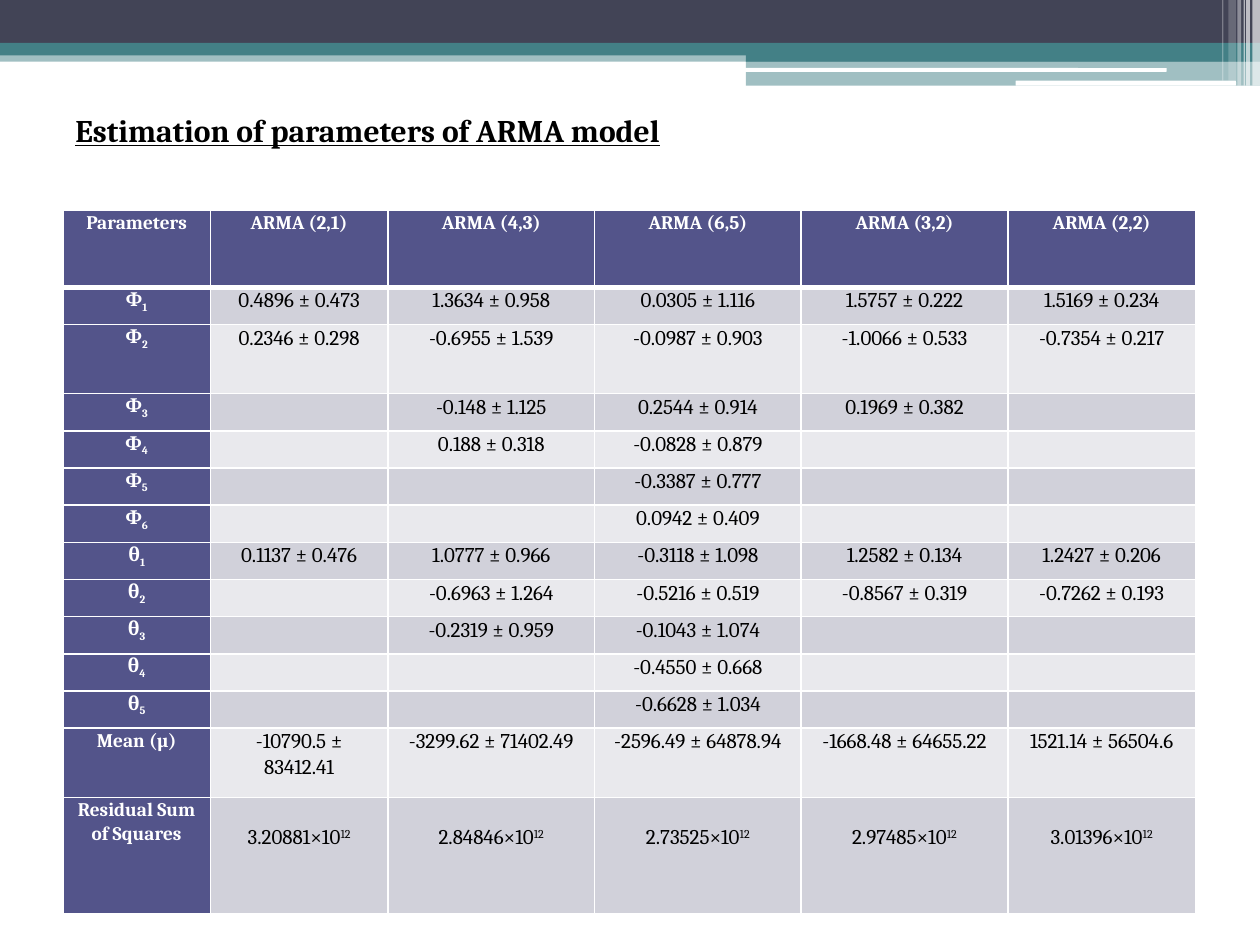
import lxml.etree
import pptx
import pptx.dml.color
import pptx.enum.shapes
import pptx.enum.text
import pptx.oxml.ns
import pptx.util

Inches = pptx.util.Inches
Pt = pptx.util.Pt
qn = pptx.oxml.ns.qn

# Content
TITLE = "Estimation of parameters of ARMA model"
HEADER = ["Parameters", "ARMA (2,1)", "ARMA (4,3)", "ARMA (6,5)", "ARMA (3,2)", "ARMA (2,2)"]
# A label or value given as a tuple is (text, raised or lowered text)
ESTIMATES = [
    [("Φ", "1"), "0.4896 ± 0.473", "1.3634 ± 0.958", "0.0305 ± 1.116", "1.5757 ± 0.222", "1.5169 ± 0.234"],
    [("Φ", "2"), "0.2346 ± 0.298", "-0.6955 ± 1.539", "-0.0987 ± 0.903", "-1.0066 ± 0.533", "-0.7354 ± 0.217"],
    [("Φ", "3"), "", "-0.148 ± 1.125", "0.2544 ± 0.914", "0.1969 ± 0.382", ""],
    [("Φ", "4"), "", "0.188 ± 0.318", "-0.0828 ± 0.879", "", ""],
    [("Φ", "5"), "", "", "-0.3387 ± 0.777", "", ""],
    [("Φ", "6"), "", "", "0.0942 ± 0.409", "", ""],
    [("θ", "1"), "0.1137 ± 0.476", "1.0777 ± 0.966", "-0.3118 ± 1.098", "1.2582 ± 0.134", "1.2427 ± 0.206"],
    [("θ", "2"), "", "-0.6963 ± 1.264", "-0.5216 ± 0.519", "-0.8567 ± 0.319", "-0.7262 ± 0.193"],
    [("θ", "3"), "", "-0.2319 ± 0.959", "-0.1043 ± 1.074", "", ""],
    [("θ", "4"), "", "", "-0.4550 ± 0.668", "", ""],
    [("θ", "5"), "", "", "-0.6628 ± 1.034", "", ""],
    ["Mean (µ)", "-10790.5 ± 83412.41", "-3299.62 ± 71402.49", "-2596.49 ± 64878.94",
     "-1668.48 ± 64655.22", "1521.14 ± 56504.6"],
]
RESIDUALS = ["3.20881", "2.84846", "2.73525", "2.97485", "3.01396"]
ROWS = [HEADER, *ESTIMATES,
        ["Residual Sum of Squares"] + [(f"{value}×10", "12") for value in RESIDUALS]]

COLORS = {"navy": "424456", "teal": "438086", "white": "FFFFFF", "black": "000000",
          "heading": "53548A", "dark band": "D1D1DA", "light band": "E9E9ED"}

# Banner parts: left, top, width, height, colour, opacity in percent
BANNER = [
    (0, 0.4, 10, 0.09, "teal", 50),
    (0, 0, 10, 0.34, "navy", 100),
    (0, 0.34, 10, 0.1, "teal", 100),
    (5.92, 0.39, 4.08, 0.1, "teal", 100),
    (5.92, 0.48, 4.08, 0.2, "teal", 50),
]
BANNER_BARS = [
    (5.91, 0.54, 3.35, 0.03, "white", 100),
    (8.06, 0.64, 1.75, 0.04, "white", 100),
]
BANNER_STRIPES = [
    (left, 0, width, height, "white", opacity)
    for left, width, height, opacity in [
        (9.94, 0.06, 0.68, 65), (9.89, 0.03, 0.68, 65), (9.87, 0.01, 0.68, 60),
        (9.82, 0.03, 0.68, 40), (9.75, 0.06, 0.64, 20), (9.7, 0.01, 0.64, 30)]
]

# Table measures: the short rows share what the tall rows leave
TABLE_HEIGHT = 5.58
COLUMN_WIDTHS = [1.17, 1.41, 1.64, 1.64, 1.64, 1.49]
TALL_ROWS = {0: 0.61, 2: 0.55, 12: 0.55, 13: 0.92}
SHORT_ROW = (TABLE_HEIGHT - sum(TALL_ROWS.values())) / (len(ROWS) - len(TALL_ROWS))
RESIDUAL_DROP = 0.21


def rgb(name):
    return pptx.dml.color.RGBColor.from_string(COLORS[name])


def add_text(paragraph, text, size=12, color="black", bold=False, underline=False, baseline=0):
    run = paragraph.add_run()
    run.text = text
    font = run.font
    font.name, font.size, font.bold, font.underline = "Cambria", Pt(size), bold, underline
    font.color.rgb = rgb(color)
    if baseline:
        run._r.get_or_add_rPr().set("baseline", str(baseline * 1000))


def add_block(slide, kind, left, top, width, height, color, opacity):
    shape = slide.shapes.add_shape(kind, Inches(left), Inches(top), Inches(width), Inches(height))
    shape.shadow.inherit = False
    shape.line.fill.background()
    shape.fill.solid()
    shape.fill.fore_color.rgb = rgb(color)
    if opacity < 100:
        color_element = shape._element.spPr.find(".//" + qn("a:srgbClr"))
        lxml.etree.SubElement(color_element, qn("a:alpha"), val=str(opacity * 1000))


def set_borders(cell, widths):
    properties = cell._tc.get_or_add_tcPr()
    for position, (side, width) in enumerate(widths.items()):
        line = lxml.etree.Element(qn("a:ln" + side), w=str(Pt(width)))
        fill = lxml.etree.SubElement(line, qn("a:solidFill"))
        lxml.etree.SubElement(fill, qn("a:srgbClr"), val=COLORS["white"])
        properties.insert(position, line)


def fill_cell(cell, content, row, column):
    heading = row == 0 or column == 0
    cell.margin_left = cell.margin_right = Inches(0.07)
    cell.margin_top = cell.margin_bottom = 0
    if row == len(ROWS) - 1 and not heading:
        cell.margin_top = Inches(RESIDUAL_DROP)
    cell.fill.solid()
    cell.fill.fore_color.rgb = rgb("heading" if heading else "dark band" if row % 2 else "light band")
    set_borders(cell, {"L": 1, "R": 1, "T": 3 if row == 1 else 1, "B": 3 if row == 0 else 1})

    paragraph = cell.text_frame.paragraphs[0]
    paragraph.alignment = pptx.enum.text.PP_ALIGN.CENTER
    paragraph.line_spacing = 1.07
    if not content:
        lxml.etree.SubElement(paragraph._p, qn("a:endParaRPr"), sz="1200")
        return
    style = {"size": 11, "color": "white", "bold": True} if heading else {}
    text, script = content if isinstance(content, tuple) else (content, "")
    add_text(paragraph, text, **style)
    if script:
        add_text(paragraph, script, baseline=-25 if heading else 30, **style)


def main():
    presentation = pptx.Presentation()
    presentation.slide_width, presentation.slide_height = Inches(10), Inches(7.5)
    slide = presentation.slides.add_slide(presentation.slide_layouts[6])

    # Banner
    shapes = pptx.enum.shapes.MSO_SHAPE
    for kind, blocks in [(shapes.RECTANGLE, BANNER), (shapes.ROUNDED_RECTANGLE, BANNER_BARS),
                         (shapes.RECTANGLE, BANNER_STRIPES)]:
        for block in blocks:
            add_block(slide, kind, *block)

    # Parameter table
    table = slide.shapes.add_table(len(ROWS), len(HEADER), Inches(0.5), Inches(1.67),
                                   Inches(sum(COLUMN_WIDTHS)), Inches(TABLE_HEIGHT)).table
    table.first_row = table.horz_banding = False
    for column, width in enumerate(COLUMN_WIDTHS):
        table.columns[column].width = Inches(width)
    for row, contents in enumerate(ROWS):
        table.rows[row].height = Inches(TALL_ROWS.get(row, SHORT_ROW))
        for column, content in enumerate(contents):
            fill_cell(table.cell(row, column), content, row, column)

    # Title
    title = slide.shapes.add_textbox(Inches(0.5), Inches(0.83), Inches(5.64), Inches(0.4))
    title.text_frame.word_wrap = False
    title.text_frame.auto_size = pptx.enum.text.MSO_AUTO_SIZE.SHAPE_TO_FIT_TEXT
    add_text(title.text_frame.paragraphs[0], TITLE, size=18, bold=True, underline=True)

    presentation.save("out.pptx")


if __name__ == "__main__":
    main()
